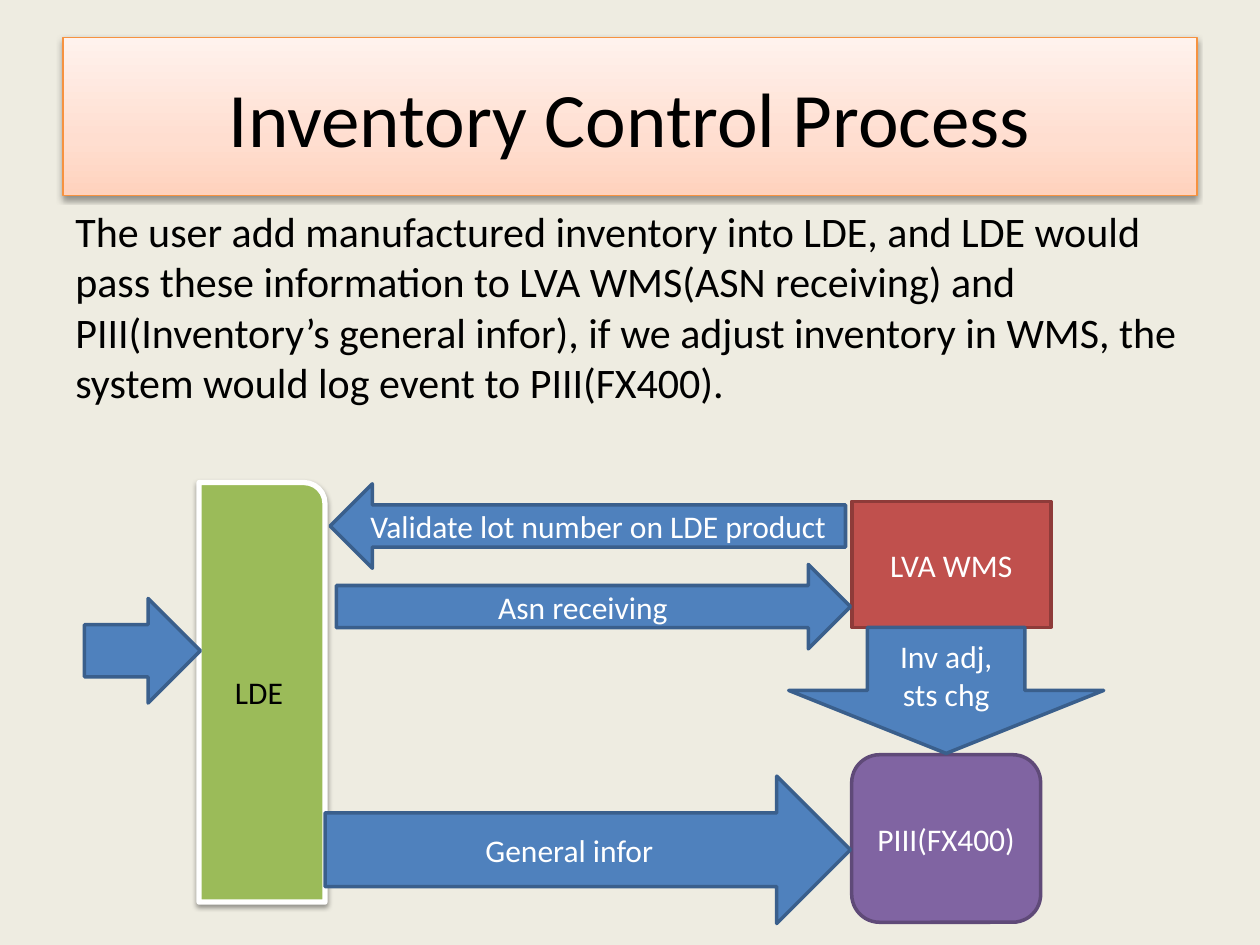
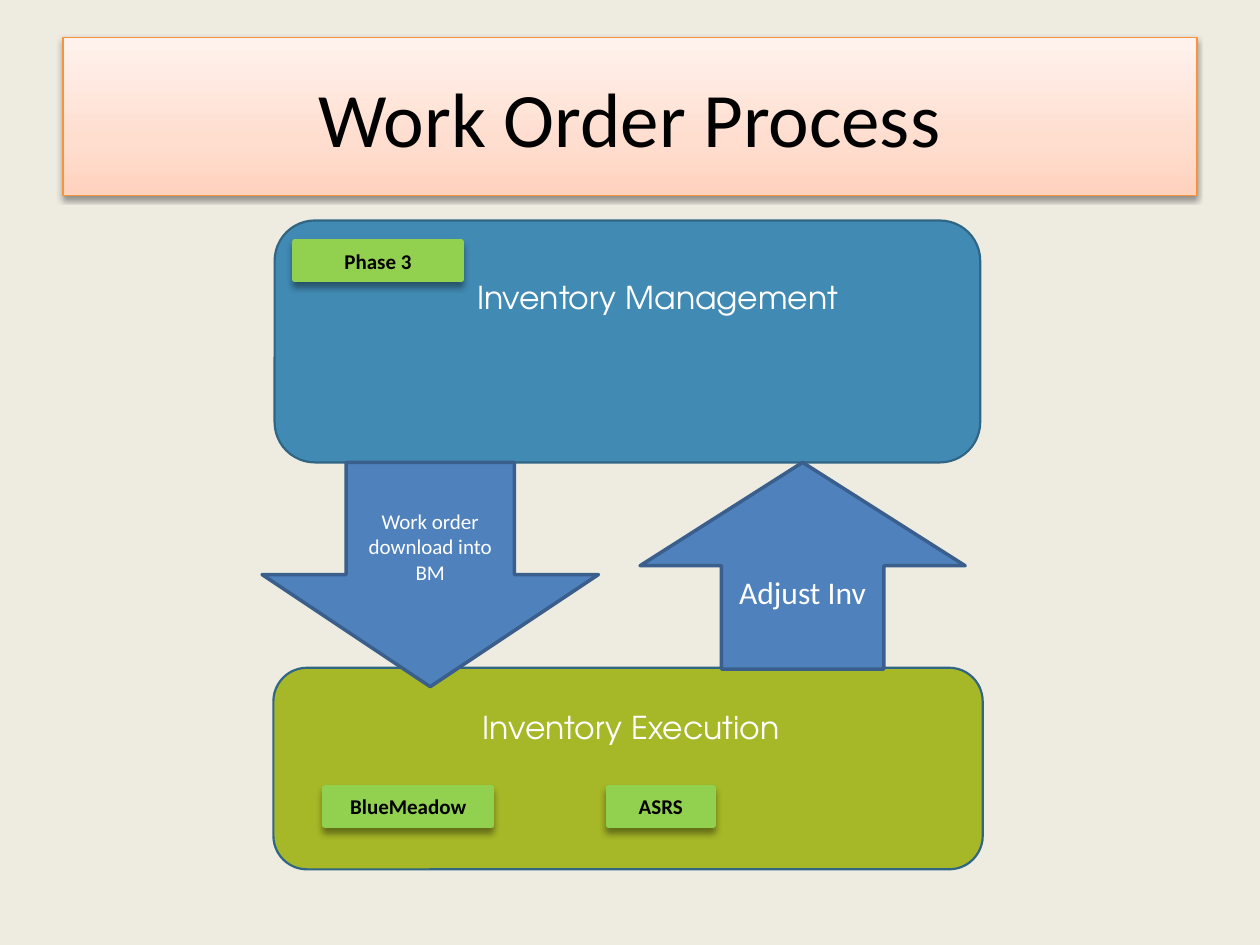
from copy import deepcopy

from lxml import etree
from pptx import Presentation
from pptx import util as u
from pptx.dml.color import RGBColor
from pptx.enum import shapes, text
from pptx.oxml import ns

CREAM = RGBColor(0xEE, 0xEC, 0xE1)
BLACK = RGBColor(0, 0, 0)
WHITE = RGBColor(0xFF, 0xFF, 0xFF)
ORANGE = RGBColor(0xF6, 0x92, 0x40)
PEACH = (
    (0, RGBColor(0xFF, 0xD2, 0xBD)),
    (0.35, RGBColor(0xFF, 0xDE, 0xD0)),
    (1, RGBColor(0xFF, 0xF2, 0xED)),
)
BLUE = RGBColor(0x4F, 0x81, 0xBD)
NAVY = RGBColor(0x3A, 0x5F, 0x8C)
GREEN = RGBColor(0x9B, 0xBB, 0x59)
RED = RGBColor(0xC0, 0x50, 0x4D)
MAROON = RGBColor(0x8E, 0x3B, 0x39)
PURPLE = RGBColor(0x80, 0x64, 0xA2)
PLUM = RGBColor(0x5F, 0x4A, 0x78)
TEAL = RGBColor(0x41, 0x8A, 0xB3)
SLATE = RGBColor(0x30, 0x66, 0x84)
OLIVE = RGBColor(0xA6, 0xB7, 0x27)
LIME = RGBColor(0x92, 0xD0, 0x50)

BODY = "Calibri"
HEAD = "TeX Gyre Adventor"
SOFT = (38, 3.1, 1.6)
DEEP = (40, 4, 3)
KIND = shapes.MSO_SHAPE
TITLE = (0.5, 0.3, 9, 1.25)


def shift(box, at):
    """Turn a place inside a box into a place on the slide."""
    return box[0] + at[0], box[1] + at[1], at[2], at[3]


def write(frame, words, size, color, face=BODY, bold=False,
          align=text.PP_ALIGN.CENTER):
    """Fill a text frame with one styled paragraph."""
    frame.word_wrap = True
    para = frame.paragraphs[0]
    para.text = words
    para.alignment = align
    font = para.font
    font.name, font.size, font.bold = face, u.Pt(size), bold
    font.color.rgb = color


def shade(shape, alpha, blur, dist):
    """Drop a black shadow straight below a shape."""
    effects = shape._element.spPr.find(ns.qn("a:effectLst"))
    outer = etree.SubElement(
        effects, ns.qn("a:outerShdw"), blurRad=str(u.Pt(blur)),
        dist=str(u.Pt(dist)), dir="5400000", rotWithShape="0")
    black = etree.SubElement(outer, ns.qn("a:srgbClr"), val="000000")
    etree.SubElement(black, ns.qn("a:alpha"), val=str(alpha * 1000))


def block(slide, kind, box, fill, line, width=2, words="", size=18,
          color=WHITE, shadow=None, **style):
    """Add a filled, outlined shape with centred text."""
    shape = slide.shapes.add_shape(kind, *map(u.Inches, box))
    shape.shadow.inherit = False
    shape.fill.solid()
    shape.fill.fore_color.rgb = fill
    shape.line.color.rgb = line
    shape.line.width = u.Pt(width)
    if shadow:
        shade(shape, *shadow)
    if words:
        shape.text_frame.vertical_anchor = text.MSO_ANCHOR.MIDDLE
        write(shape.text_frame, words, size, color, **style)
    return shape


def arrow(slide, kind, box, words="", size=18):
    """Add a blue block arrow."""
    return block(slide, kind, box, BLUE, NAVY, words=words, size=size)


def title(slide, box, words):
    """Add the peach title band."""
    band = block(slide, KIND.RECTANGLE, box, WHITE, ORANGE, 0.75, words, 44,
                 BLACK, SOFT)
    band.fill.gradient()
    band.fill.gradient_angle = 90
    first = band._element.spPr.find(".//" + ns.qn("a:gs"))
    first.addnext(deepcopy(first))
    for stop, (place, color) in zip(band.fill.gradient_stops, PEACH):
        stop.position = place
        stop.color.rgb = color


def intro(slide, box, words):
    """Add the paragraph below the title."""
    note = slide.shapes.add_textbox(*map(u.Inches, box))
    write(note.text_frame, words, 24, BLACK, align=text.PP_ALIGN.LEFT)


def stock(slide, box):
    """Draw the systems and the stock data that flows between them."""
    block(slide, KIND.ROUND_1_RECTANGLE, shift(box, (0.91, 0, 1, 3.33)),
          GREEN, WHITE, 3, "LDE", color=BLACK, shadow=SOFT)
    block(slide, KIND.RECTANGLE, shift(box, (6.09, 0.15, 1.58, 1)),
          RED, MAROON, words="LVA WMS")
    block(slide, KIND.ROUNDED_RECTANGLE, shift(box, (6.09, 2.16, 1.5, 1.33)),
          PURPLE, PLUM, words="PIII(FX400)")
    for kind, at, words in (
        (KIND.RIGHT_ARROW, (2, 0.65, 4.08, 0.67), "Asn receiving"),
        (KIND.RIGHT_ARROW, (1.91, 2.33, 4.17, 1.17), "General infor"),
        (KIND.DOWN_ARROW, (5.59, 1.15, 2.5, 1), "Inv adj, sts chg"),
        (KIND.RIGHT_ARROW, (0, 0.92, 0.92, 0.83), ""),
        (KIND.LEFT_ARROW, (1.95, 0.01, 4.09, 0.67),
         "Validate lot number on LDE product"),
    ):
        arrow(slide, kind, shift(box, at), words)


def panel(slide, box, fill, words, left, top, chips):
    """Draw a rounded panel with its heading and green chips."""
    shape = block(slide, KIND.ROUNDED_RECTANGLE, box, fill, SLATE, 1.25,
                  words, face=HEAD)
    frame = shape.text_frame
    frame.vertical_anchor = text.MSO_ANCHOR.TOP
    frame.margin_left, frame.margin_top = u.Inches(left), u.Inches(top)
    for x, y, wide, label in chips:
        block(slide, KIND.RECTANGLE, shift(box, (x, y, wide, 0.3)),
              LIME, LIME, 3, label, 12, BLACK, DEEP, bold=True)


def order(slide, box):
    """Draw the two work order panels and the arrows between them."""
    panel(slide, shift(box, (0.1, 0, 5.6, 1.92)), TEAL,
          "Inventory Management", 0.58, 0.36, [(0.16, 0.17, 1.32, "Phase 3")])
    panel(slide, shift(box, (0.09, 3.55, 5.63, 1.6)), OLIVE,
          "Inventory Execution", 0.15, 0.24,
          [(0.41, 0.95, 1.32, "BlueMeadow"), (2.66, 0.95, 0.83, "ASRS")])
    arrow(slide, KIND.DOWN_ARROW, shift(box, (0, 1.92, 2.67, 1.78)),
          "Work order download into BM", 12)
    arrow(slide, KIND.UP_ARROW, shift(box, (3, 1.92, 2.58, 1.64)),
          "Adjust Inv")


def page(deck, words):
    """Add a cream slide with its title."""
    slide = deck.slides.add_slide(deck.slide_layouts[6])
    slide.background.fill.solid()
    slide.background.fill.fore_color.rgb = CREAM
    title(slide, TITLE, words)
    return slide


def main():
    """Build and save the deck."""
    deck = Presentation()
    deck.slide_width, deck.slide_height = u.Inches(10), u.Inches(7.5)
    slide = page(deck, "Inventory Control Process")
    intro(slide, (0.5, 1.58, 9, 5.74),
          "The user add manufactured inventory into LDE, and LDE would pass "
          "these information to LVA WMS(ASN receiving) and PIII(Inventory’s "
          "general infor), if we adjust inventory in WMS, the system would "
          "log event to PIII(FX400).")
    stock(slide, (0.67, 3.83))
    order(page(deck, "Work Order Process"), (2.08, 1.75))
    deck.save("out.pptx")


if __name__ == "__main__":
    main()
